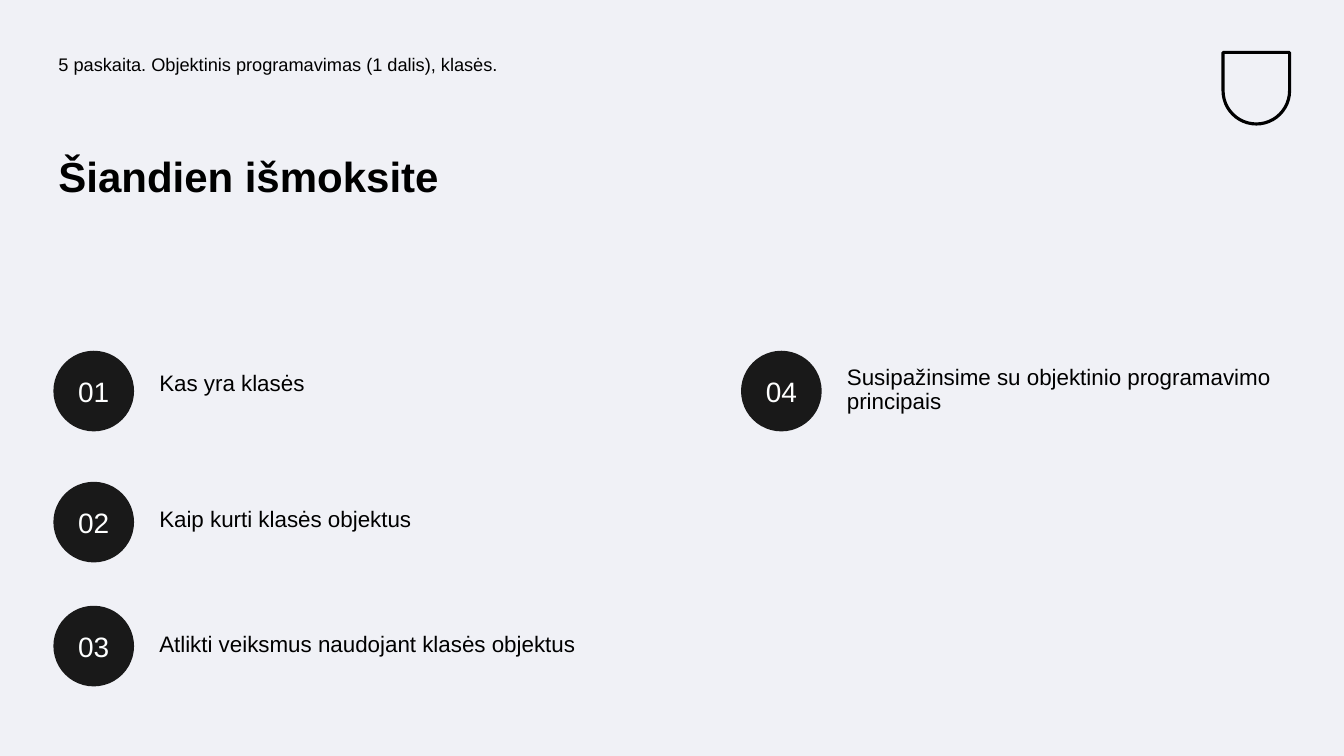
from pptx import Presentation
from pptx.dml.color import RGBColor
from pptx.enum.shapes import MSO_SHAPE
from pptx.enum.text import MSO_ANCHOR, PP_ALIGN
from pptx.util import Inches, Pt

BACKGROUND = RGBColor(0xF0, 0xF1, 0xF6)
INK = RGBColor(0x00, 0x00, 0x00)
BADGE = RGBColor(0x19, 0x19, 0x19)
BADGE_TEXT = RGBColor(0xFE, 0xFF, 0xFF)

MARGIN = 0.53
COLUMN_STEP = 6.82
LABEL_INDENT = 1.0
BADGE_SIZE = 0.8
ROW_TOPS = (3.48, 4.78, 6.01)

TOPICS = [
    ("Kas yra klasės", 0, 0, 0.16, 0.5),
    ("Kaip kurti klasės objektus", 0, 1, 0.21, 0.38),
    ("Atlikti veiksmus naudojant klasės objektus", 0, 2, 0.22, 0.36),
    ("Susipažinsime su objektinio programavimo principais", 1, 0, 0.1, 0.6),
]

FRAME = dict(
    word_wrap=True,
    margin_left=Inches(0.05),
    margin_right=Inches(0.05),
    margin_top=Inches(0.05),
    margin_bottom=Inches(0.05),
)
HEADING = dict(line_spacing=0.9, alignment=PP_ALIGN.LEFT)
BODY = dict(HEADING, space_before=Pt(10))
NUMBER = dict(alignment=PP_ALIGN.CENTER)


def apply_format(target, values):
    for name, value in values.items():
        setattr(target, name, value)


def write(frame, text, size, color, paragraph_format, anchor=MSO_ANCHOR.TOP, bold=False):
    apply_format(frame, dict(FRAME, vertical_anchor=anchor))
    paragraph = frame.paragraphs[0]
    apply_format(paragraph, paragraph_format)
    run = paragraph.add_run()
    run.text = text
    apply_format(run.font, dict(name="Arial", size=Pt(size), bold=bold))
    run.font.color.rgb = color


def add_text(slide, box, text, size, paragraph_format, bold=False):
    label = slide.shapes.add_textbox(*map(Inches, box))
    write(label.text_frame, text, size, INK, paragraph_format, bold=bold)


def add_badge(slide, left, top, number):
    badge = slide.shapes.add_shape(
        MSO_SHAPE.OVAL, *map(Inches, (left, top, BADGE_SIZE, BADGE_SIZE)))
    badge.shadow.inherit = False
    badge.fill.solid()
    badge.fill.fore_color.rgb = BADGE
    badge.line.fill.background()
    write(badge.text_frame, f"{number:02}", 20, BADGE_TEXT, NUMBER, MSO_ANCHOR.MIDDLE)


def add_topic(slide, number, text, column, row, label_offset, label_height):
    left = MARGIN + column * COLUMN_STEP
    top = ROW_TOPS[row]
    add_badge(slide, left, top, number)
    label_box = (left + LABEL_INDENT, top + label_offset, 4.87, label_height)
    add_text(slide, label_box, text, 16, BODY)


def add_shield(slide):
    shield = slide.shapes.add_shape(
        MSO_SHAPE.ROUND_2_SAME_RECTANGLE, *map(Inches, (12.13, 0.52, 0.66, 0.71)))
    shield.adjustments[0] = 0.5
    shield.rotation = 180
    shield.shadow.inherit = False
    shield.fill.background()
    shield.line.color.rgb = INK
    shield.line.width = Pt(2.25)


def main():
    presentation = Presentation()
    apply_format(presentation, dict(slide_width=Inches(13.33), slide_height=Inches(7.5)))
    slide = presentation.slides.add_slide(presentation.slide_layouts[6])
    slide.background.fill.solid()
    slide.background.fill.fore_color.rgb = BACKGROUND

    add_shield(slide)
    add_text(slide, (MARGIN, 0.5, 6.14, 0.5),
             "5 paskaita. Objektinis programavimas (1 dalis), klasės.", 13, BODY)
    add_text(slide, (MARGIN, 1.5, 5.64, 1.49), "Šiandien išmoksite", 30, HEADING, bold=True)
    for number, topic in enumerate(TOPICS, start=1):
        add_topic(slide, number, *topic)

    presentation.save("out.pptx")


if __name__ == "__main__":
    main()
